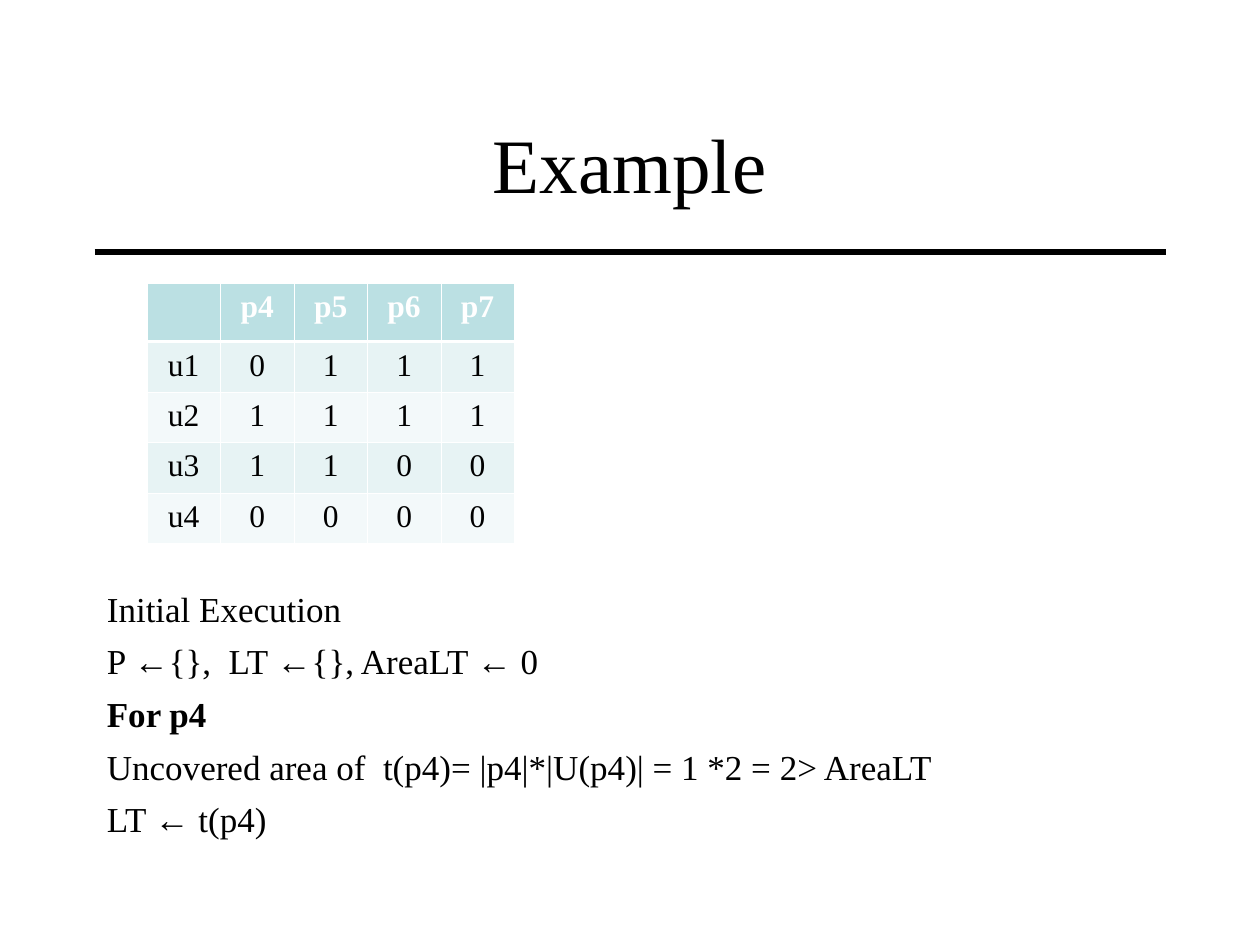
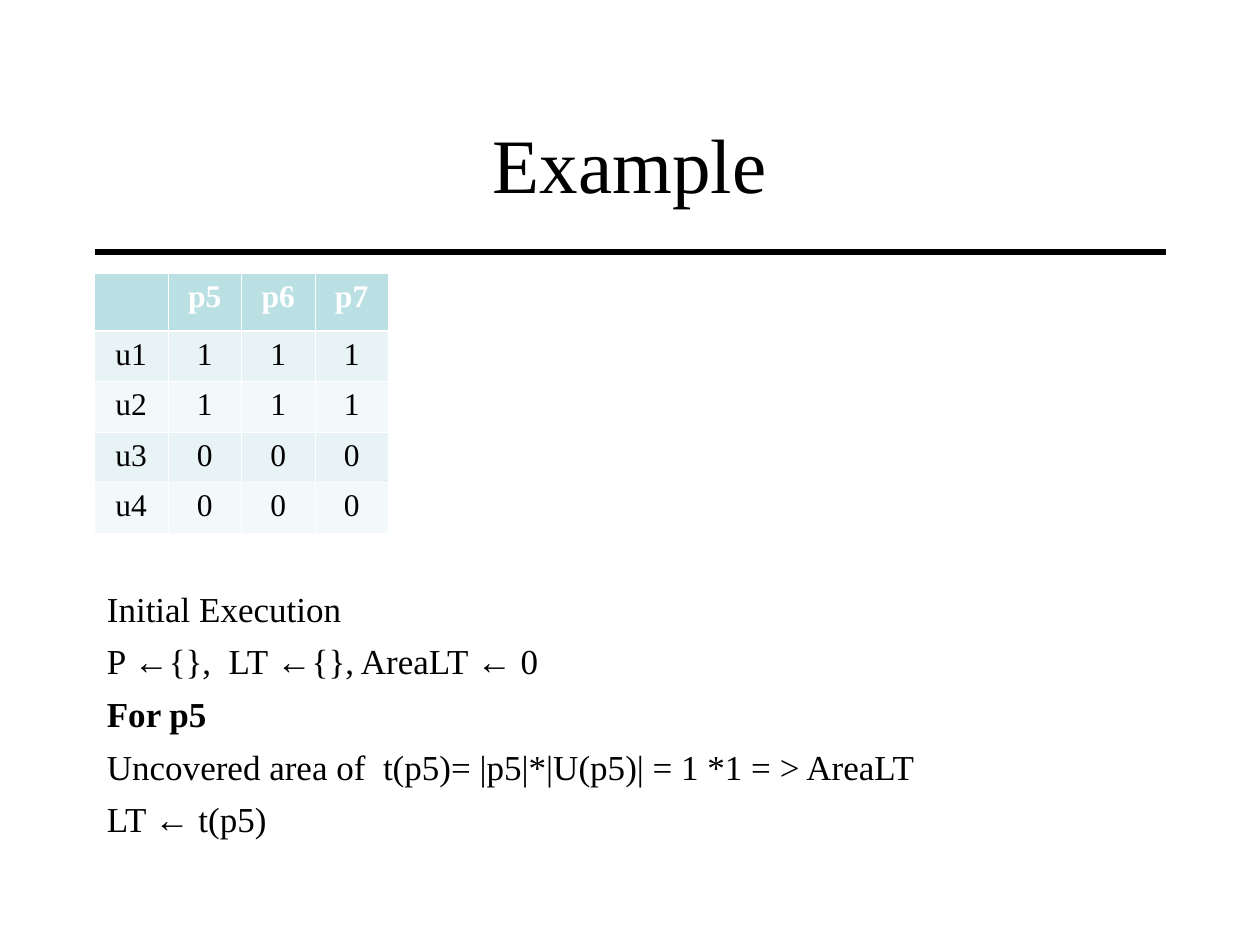
"""Builds two worked-example slides with a coverage table and execution steps."""
from lxml import etree
from pptx import Presentation
from pptx import util as u
from pptx.dml.color import RGBColor
from pptx.enum import shapes, text
from pptx.oxml import ns

COLORS = {"ink": "000000", "paper": "FFFFFF", "head": "BBE0E3", "odd": "E7F3F4", "even": "F3F9FA"}
SERIF, SANS = "Times New Roman", "Arial"
ARROW = "←"
TITLE_BOX = (54, 48, 612, 90)
RULE_BOX = (54, 144, 612, 0)
COL_W, ROW_H, HEAD_H = 42, 28.8, 33.2
THIN, THICK = 0.45, 1.47

EXAMPLES = [
    dict(pattern="p4", area="1 *2 = 2> AreaLT", table_at=(84, 162), steps_box=(54, 156, 612, 360),
         rows=[["", "p4", "p5", "p6", "p7"],
               ["u1", "0", "1", "1", "1"],
               ["u2", "1", "1", "1", "1"],
               ["u3", "1", "1", "0", "0"],
               ["u4", "0", "0", "0", "0"]]),
    dict(pattern="p5", area="1 *1 = > AreaLT", table_at=(54, 156), steps_box=(54, 156, 612, 324),
         rows=[["", "p5", "p6", "p7"],
               ["u1", "1", "1", "1"],
               ["u2", "1", "1", "1"],
               ["u3", "0", "0", "0"],
               ["u4", "0", "0", "0"]]),
]


def rgb(name):
    return RGBColor.from_string(COLORS[name])


def add_run(p, words, size, color="ink", bold=False, font=SERIF):
    r = p.add_run()
    r.text = words
    r.font.size, r.font.name, r.font.bold = u.Pt(size), font, bold
    r.font.color.rgb = rgb(color)


def add_text_frame(s, box):
    tf = s.shapes.add_textbox(*map(u.Pt, box)).text_frame
    tf.word_wrap = True
    return tf


def add_title(s, box, words):
    tf = add_text_frame(s, box)
    tf.vertical_anchor = text.MSO_ANCHOR.MIDDLE
    p = tf.paragraphs[0]
    p.alignment = text.PP_ALIGN.CENTER
    add_run(p, words, 44)


def add_rule(s, box):
    x, y, w, h = box
    line = s.shapes.add_connector(shapes.MSO_CONNECTOR.STRAIGHT,
                                  u.Pt(x), u.Pt(y), u.Pt(x + w), u.Pt(y + h))
    line.line.color.rgb = rgb("ink")
    line.line.width = u.Pt(3)
    etree.SubElement(line._element.spPr, ns.qn("a:effectLst"))


def set_borders(cell, top, bottom):
    tc_pr = cell._tc.get_or_add_tcPr()
    for side, width in (("L", THIN), ("R", THIN), ("T", top), ("B", bottom)):
        ln = etree.SubElement(tc_pr, ns.qn(f"a:ln{side}"), w=str(int(u.Pt(width))))
        fill = etree.SubElement(ln, ns.qn("a:solidFill"))
        etree.SubElement(fill, ns.qn("a:srgbClr"), val=COLORS["paper"])


def add_coverage_table(s, at, rows):
    x, y = at
    n_rows, n_cols = len(rows), len(rows[0])
    size = (COL_W * n_cols, HEAD_H + ROW_H * (n_rows - 1))
    table = s.shapes.add_table(n_rows, n_cols, *map(u.Pt, (x, y, *size))).table
    for col in table.columns:
        col.width = u.Pt(COL_W)
    for i, values in enumerate(rows):
        head = i == 0
        table.rows[i].height = u.Pt(HEAD_H if head else ROW_H)
        for j, value in enumerate(values):
            cell = table.cell(i, j)
            set_borders(cell, THICK if i == 1 else THIN, THICK if head else THIN)
            cell.fill.solid()
            cell.fill.fore_color.rgb = rgb("head" if head else "odd" if i % 2 else "even")
            p = cell.text_frame.paragraphs[0]
            p.alignment = text.PP_ALIGN.CENTER
            if value:
                add_run(p, value, 18, "paper" if head else "ink", head)


def add_steps(s, box, pattern, area):
    tf = add_text_frame(s, box)
    tf.margin_top = u.Pt(179.7)
    steps = [
        "Initial Execution",
        f"P {ARROW}{{}},  LT {ARROW}{{}}, AreaLT {ARROW} 0",
        f"For {pattern}",
        f"Uncovered area of  t({pattern})= |{pattern}|*|U({pattern})| = {area}",
        f"LT {ARROW} t({pattern})",
    ]
    for i, step in enumerate(steps):
        p = tf.add_paragraph() if i else tf.paragraphs[0]
        p.alignment = text.PP_ALIGN.JUSTIFY
        p.space_before = u.Pt(6 if i else 0)
        for k, part in enumerate(step.split(ARROW)):
            if k:
                add_run(p, ARROW, 20, font=SANS)
            add_run(p, part, 20, bold=step.startswith("For"))


def add_example_slide(prs, pattern, area, table_at, steps_box, rows):
    s = prs.slides.add_slide(prs.slide_layouts[6])
    s.background.fill.solid()
    s.background.fill.fore_color.rgb = rgb("paper")
    add_rule(s, RULE_BOX)
    add_title(s, TITLE_BOX, "Example")
    add_steps(s, steps_box, pattern, area)
    add_coverage_table(s, table_at, rows)


def main():
    prs = Presentation()
    prs.slide_width, prs.slide_height = u.Pt(720), u.Pt(540)
    for example in EXAMPLES:
        add_example_slide(prs, **example)
    prs.save("out.pptx")


if __name__ == "__main__":
    main()
